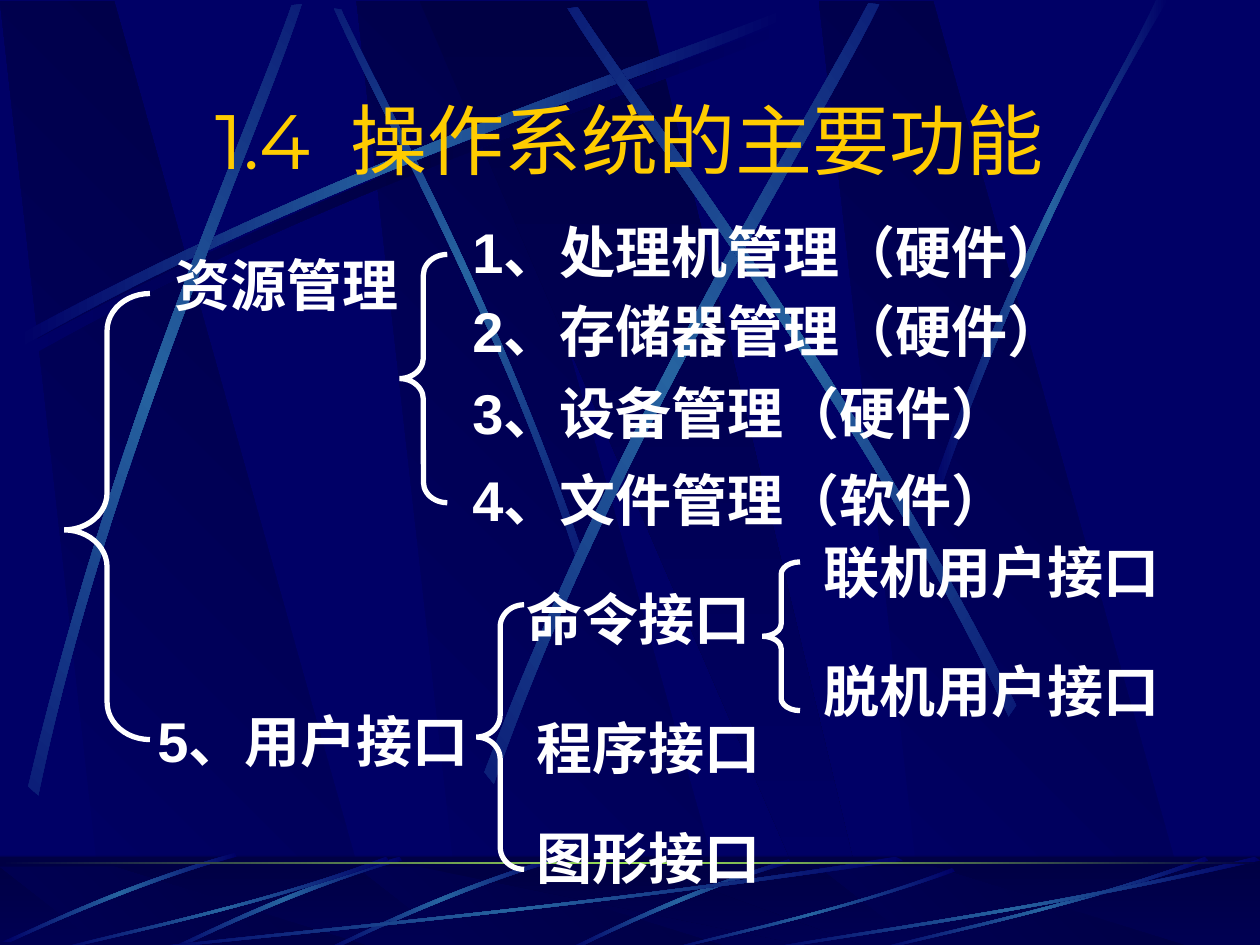
"""Build the slide on the main functions of an operating system."""
from copy import deepcopy

from pptx import Presentation
from pptx import util as u
from pptx.dml.color import RGBColor
from pptx.enum import shapes, text
from pptx.oxml.ns import qn
from lxml import etree

THEME = {
    "night": "000066", "deep": "000044", "glow": "2663A0", "lime": "9CE157",
    "gold": "FFCC00", "white": "FFFFFF",
    "head": "Montserrat", "body": "Arial", "big": 44, "size": 32, "line": 3,
}
BEAM = ("night", "glow", "night")
SHADE = ("night", "deep", "night")
PANE = ("night", "deep")
RISE = ("deep", "night")

TITLE = ("1.4  操作系统的主要功能", (0.75, 0.68, 8.5, 0.84))
COL, LEAF, TIP = 3.65, 4.16, 6.44
LABELS = [
    ("资源管理", 1.29, 1.94, 2.08, 1),
    ("1、处理机管理（硬件）", COL, 1.62, 5.06, 1.1),
    ("2、存储器管理（硬件）", COL, 2.25, 5.06, 1.1),
    ("3、设备管理（硬件）", COL, 2.9, 4.6, 1.1),
    ("4、文件管理（软件）", COL, 3.59, 4.6, 1.1),
    ("5、用户接口", 1.15, 5.56, 2.78, 1),
    ("命令接口", 4.08, 4.54, 1.98, 1.1),
    ("程序接口", LEAF, 5.56, 1.98, 1.1),
    ("图形接口", LEAF, 6.43, 1.98, 1.1),
    ("联机用户接口", TIP, 4.22, 2.87, 1),
    ("脱机用户接口", TIP, 5.16, 2.87, 1),
]
BRACES = [((0.51, 2.33, 0.68, 3.54), 0.53), ((3.17, 2.02, 0.38, 1.97), 0.5),
          ((3.78, 4.8, 0.38, 2.1), 0.5), ((6.05, 4.46, 0.3, 1.18), 0.5)]

SLAB = [(0.28, 1), (1, 1), (0.3, 0), (0, 0)]
WEDGE = [(0, 0), (0.9, 1), (1, 1), (0.5, 0)]
RAY = [(0, 0.96), (0.43, 0.43), (0.83, 0.15), (0.99, 0),
       (1, 0.02), (0.83, 0.19), (0.38, 0.5), (0, 1)]
DROP = [(0, 0.99), (0.4, 0.44), (0.79, 0.17), (0.95, 0),
        (1, 0), (0.52, 0.37), (0.16, 0.81), (0.03, 1)]
GLINT = [(0.99, 0), (0.49, 0.37), (0.16, 0.82), (0, 0.99),
         (0.03, 1), (0.23, 0.75), (0.68, 0.25), (1, 0.04)]
SWEEP = [(1, 0.04), (0.57, 0.57), (0.17, 0.85), (0.01, 1),
         (0, 0.99), (0.17, 0.81), (0.62, 0.51), (0.99, 0)]
SLABS = (2.83, 0, 6.5)
RAYS = [
    ((0.2, 0.18, 6.08, 2.67), 0, False, SHADE),
    ((1.41, 1.35, 4.42, 1.75), 45, True, BEAM),
    ((0.14, 0.1, 6.08, 2.67), 0, False, BEAM),
    ((-1.71, 1.82, 6.08, 2.67), 311.7, False, BEAM),
    ((2.31, 1.6, 6.24, 3.01), 321.6, False, BEAM),
    ((3.23, 1.52, 6.08, 2.67), 34.8, True, BEAM),
]
GLINTS = [(4.48, 6.82, 1.8, 0.73), (2.56, 6.8, 1.88, 0.75),
          (1.31, 6.8, 1.88, 0.75), (0.02, 6.77, 1.86, 0.71)]
SWEEPS = [(1, 6.8, 6.17, 0.75), (0.42, 6.8, 2.67, 0.75),
          (5.27, 6.89, 2.31, 0.66), (6.92, 6.8, 2.67, 0.75),
          (6, 6.8, 4, 0.75)]


def cm(inch):
    """Turn inches into a Cm length."""
    return u.Cm(inch * 2.54)


def rgb(name):
    """Look up a theme colour."""
    return RGBColor.from_string(THEME[name])


def bend(shape):
    """Turn both long sides of an eight-point outline into curves."""
    lines = shape._element.findall(".//" + qn("a:lnTo"))
    for side in (lines[:3], lines[4:7]):
        curve = etree.Element(qn("a:cubicBezTo"))
        side[0].addprevious(curve)
        for line in side:
            curve.append(line[0])
            line.getparent().remove(line)


def blend(shape, names, angle=0):
    """Give a shape an even linear gradient and no outline."""
    shape.shadow.inherit = False
    shape.line.fill.background()
    fill = shape.fill
    fill.gradient()
    fill.gradient_angle = angle
    stops = shape._element.find(".//" + qn("a:gsLst"))
    for _ in names[2:]:
        stops.append(deepcopy(stops[0]))
    for i, (stop, name) in enumerate(zip(fill.gradient_stops, names)):
        stop.position = i / (len(names) - 1)
        stop.color.rgb = rgb(name)


def shard(slide, unit, box, names, angle=0, turn=0, flip=False):
    """Draw a unit outline scaled into a box."""
    x, y, w, h = box
    spots = [(cm(x + w * (1 - a if flip else a)), cm(y + h * b))
             for a, b in unit]
    pen = slide.shapes.build_freeform(*spots[0], scale=1.0)
    pen.add_line_segments(spots[1:], close=True)
    shape = pen.convert_to_shape()
    if len(unit) == 8:
        bend(shape)
    shape.rotation = turn
    blend(shape, names, angle)


def preset(slide, kind, box):
    """Add a preset shape at a box."""
    shape = slide.shapes.add_shape(kind, *map(cm, box))
    shape.shadow.inherit = False
    return shape


def panes(slide, top, high):
    """Draw three slabs and the wedge between them."""
    for left in SLABS:
        shard(slide, SLAB, (left, top, 3.02, high), PANE, 45)
    shard(slide, WEDGE, (3.33, top, 3.61, high), RISE, 270)


def scene(slide):
    """Draw the wall, the floor and their light rays."""
    rect = shapes.MSO_SHAPE.RECTANGLE
    panes(slide, 0.01, 7.52)
    for box, turn, flip, names in RAYS:
        shard(slide, RAY, box, names, turn=turn, flip=flip)
    shard(slide, DROP, (7.38, 0, 1.89, 3.97), BEAM)
    blend(preset(slide, rect, (0, 6.8, 10, 0.75)), RISE, 270)
    panes(slide, 6.88, 0.66)
    veil = preset(slide, rect, (0, 6.79, 10, 0.75))
    veil.line.fill.background()
    veil.fill.solid()
    veil.fill.fore_color.rgb = rgb("deep")
    tint = veil._element.spPr.find(".//" + qn("a:srgbClr"))
    etree.SubElement(tint, qn("a:alpha"), val="50000")
    for unit, boxes in ((GLINT, GLINTS), (SWEEP, SWEEPS)):
        for box in boxes:
            shard(slide, unit, box, BEAM)
    blend(preset(slide, rect, (0, 6.84, 10, 0.02)), ("deep", "lime", "deep"))


def style(para, face, size, tone, bold):
    """Set the font of a paragraph."""
    font = para.font
    font.name, font.size, font.bold = THEME[face], u.Pt(THEME[size]), bold
    font.color.rgb = rgb(tone)


def head(slide):
    """Place the title above the scene."""
    words, box = TITLE
    title = slide.shapes.title
    title.left, title.top, title.width, title.height = map(cm, box)
    frame = title.text_frame
    frame.text = words
    frame.vertical_anchor = text.MSO_ANCHOR.MIDDLE
    para = frame.paragraphs[0]
    para.alignment = text.PP_ALIGN.CENTER
    style(para, "head", "big", "gold", False)
    slide.shapes._spTree.append(title._element)


def tree(slide):
    """Draw the braces and their labels."""
    for box, mid in BRACES:
        brace = preset(slide, shapes.MSO_SHAPE.LEFT_BRACE, box)
        brace.adjustments[0] = box[3] / box[2] / 12
        brace.adjustments[1] = mid
        brace.fill.background()
        brace.line.color.rgb = rgb("white")
        brace.line.width = u.Pt(THEME["line"])
        edge = brace._element.spPr.find(qn("a:ln"))
        etree.SubElement(edge, qn("a:miter"), lim="800000")
    for words, x, y, w, gap in LABELS:
        high = 0.64 if gap == 1 else 0.69
        frame = slide.shapes.add_textbox(*map(cm, (x, y, w, high))).text_frame
        frame.word_wrap = False
        frame.auto_size = text.MSO_AUTO_SIZE.SHAPE_TO_FIT_TEXT
        frame.text = words
        para = frame.paragraphs[0]
        para.line_spacing = float(gap)
        style(para, "body", "size", "white", True)


def main():
    """Build and save the deck."""
    deck = Presentation()
    deck.slide_width, deck.slide_height = u.Cm(25.4), u.Cm(19.05)
    slide = deck.slides.add_slide(deck.slide_layouts[5])
    slide.background.fill.solid()
    slide.background.fill.fore_color.rgb = rgb("night")
    scene(slide)
    head(slide)
    tree(slide)
    deck.save("out.pptx")


if __name__ == "__main__":
    main()
